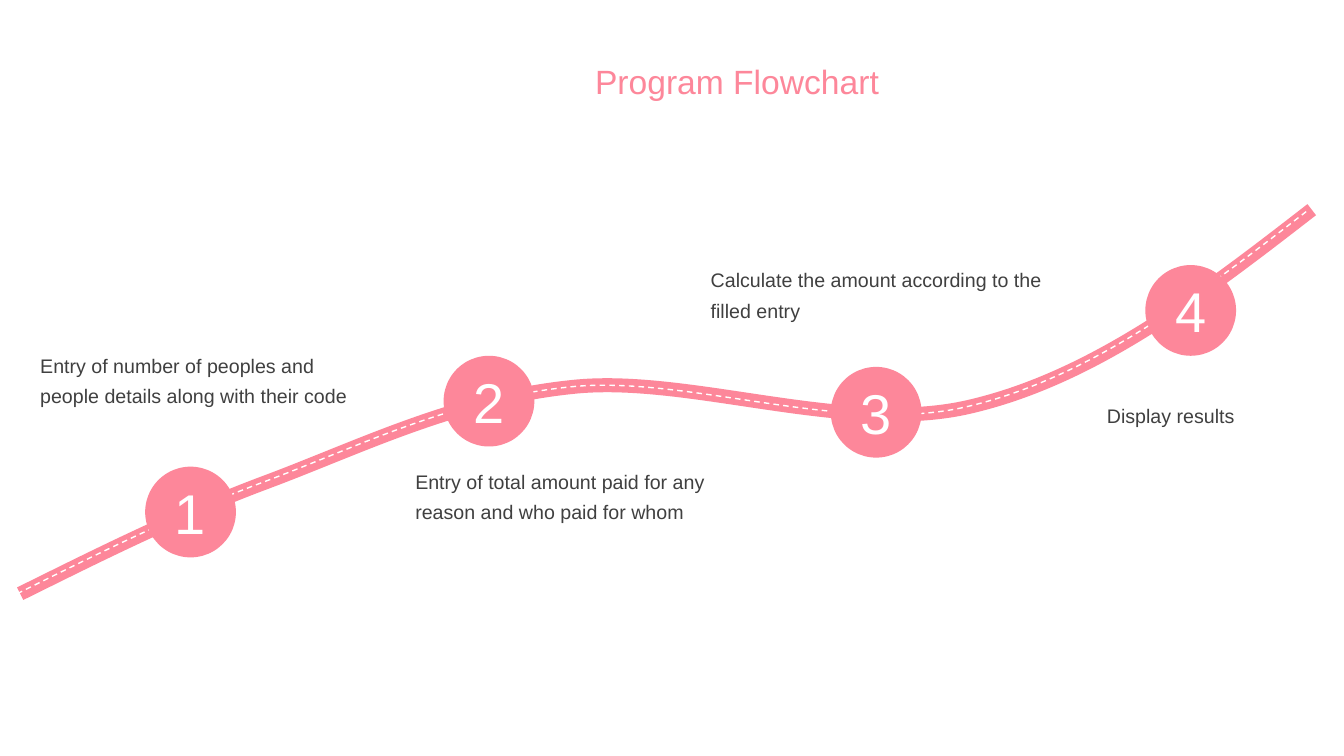
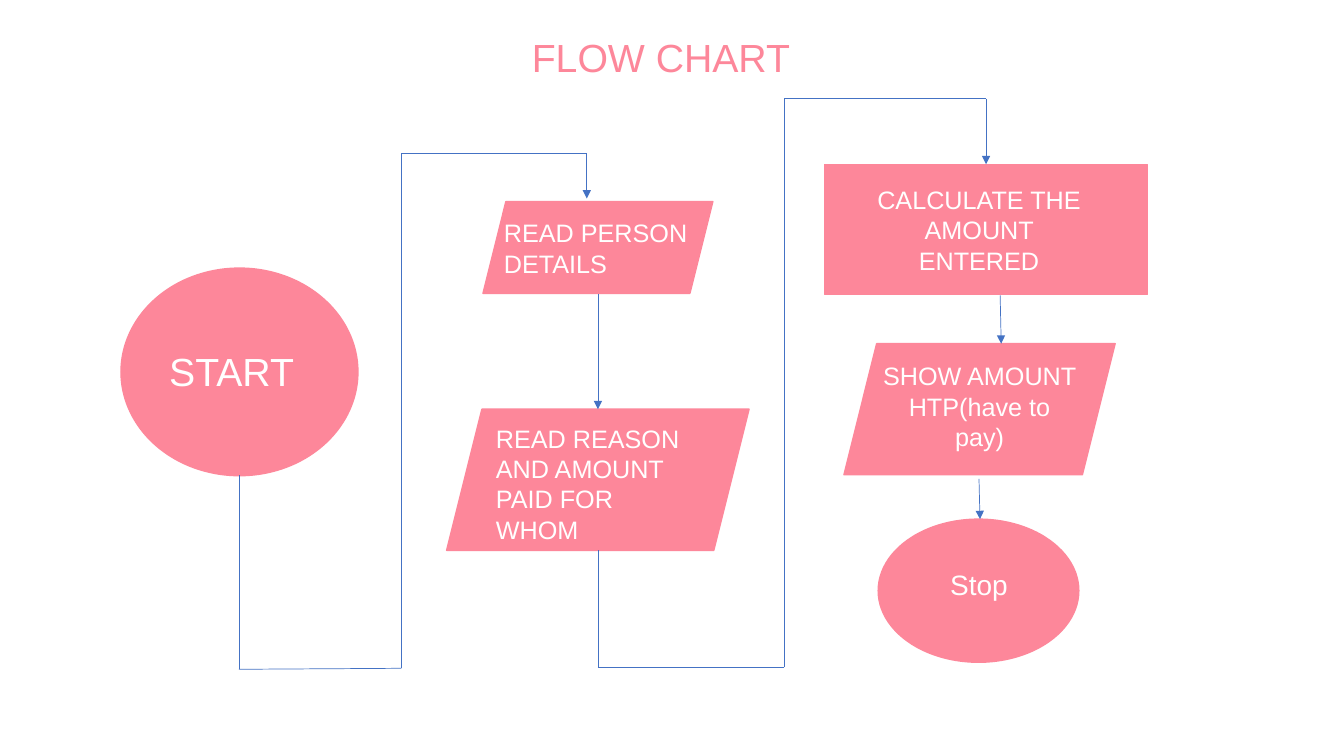
from dataclasses import dataclass
from itertools import pairwise

from pptx import Presentation
from pptx import util as u
from pptx.dml.color import RGBColor
from pptx.enum import dml, shapes, text
from pptx.oxml.ns import qn
from lxml import etree

Point = tuple[float, float]
Box = tuple[float, float, float, float]

LEFT, CENTER = text.PP_ALIGN.LEFT, text.PP_ALIGN.CENTER
OVAL = shapes.MSO_SHAPE.OVAL
PARALLELOGRAM = shapes.MSO_SHAPE.PARALLELOGRAM
RECTANGLE = shapes.MSO_SHAPE.RECTANGLE


@dataclass(frozen=True)
class Theme:
    font: str = "Arial"
    pink: RGBColor = RGBColor(0xFD, 0x87, 0x9A)
    white: RGBColor = RGBColor(0xFF, 0xFF, 0xFF)
    grey: RGBColor = RGBColor(0x40, 0x40, 0x40)
    blue: RGBColor = RGBColor(0x44, 0x72, 0xC4)
    title_size: int = 24
    large_size: int = 28
    number_size: int = 40
    caption_size: int = 14
    node_size: int = 18
    stop_size: int = 20
    road_width: float = 10
    thin_width: float = 1
    arrow_width: float = 0.5


THEME = Theme()


@dataclass(frozen=True)
class Milestone:
    circle: Point
    caption: str
    caption_box: Box


@dataclass(frozen=True)
class Node:
    kind: shapes.MSO_SHAPE
    box: Box
    label: str
    label_box: Box
    size: int = THEME.node_size
    align: text.PP_ALIGN = CENTER


# Content: the road and its four stops
CIRCLE_SIZE = 0.9
ROAD_START = (0.2, 5.89)
ROAD_CURVES = [
    ((0.97, 5.51), (1.74, 5.12), (2.65, 4.78)),
    ((3.56, 4.44), (4.51, 3.96), (5.67, 3.84)),
    ((6.83, 3.71), (8.41, 4.33), (9.64, 4.03)),
    ((10.86, 3.74), (11.94, 2.91), (13.01, 2.08)),
]
MILESTONES = [
    Milestone((1.44, 4.63), "Entry of number of peoples and people details along with their code",
              (0.3, 3.39, 3.49, 0.7)),
    Milestone((4.4, 3.53), "Entry of total amount paid for any reason and who paid for whom",
              (4.02, 4.54, 3.49, 0.7)),
    Milestone((8.24, 3.64), "Calculate the amount according to the filled entry",
              (6.95, 2.54, 3.49, 0.7)),
    Milestone((11.36, 2.63), "Display results", (10.88, 3.89, 2.4, 0.4)),
]

# Content: the flow chart
NODES = [
    Node(OVAL, (1.2, 2.66, 2.35, 2.06), "START", (1.58, 3.4, 1.59, 0.57),
         THEME.large_size, LEFT),
    Node(PARALLELOGRAM, (4.79, 2, 2.28, 0.91), "READ PERSON DETAILS",
         (4.9, 2.11, 2.14, 0.7), align=LEFT),
    Node(PARALLELOGRAM, (4.43, 4.06, 3, 1.4), "READ REASON AND AMOUNT PAID FOR WHOM",
         (4.82, 4.15, 2.21, 1.3), align=LEFT),
    Node(RECTANGLE, (8.18, 1.63, 3.2, 1.29), "CALCULATE THE AMOUNT ENTERED",
         (8.5, 1.78, 2.42, 1)),
    Node(PARALLELOGRAM, (8.37, 3.41, 2.69, 1.3), "SHOW AMOUNT HTP(have to pay)",
         (8.64, 3.53, 2.15, 1)),
    Node(OVAL, (8.71, 5.15, 1.99, 1.42), "Stop", (9.15, 5.58, 1.12, 0.43),
         THEME.stop_size),
]
ROUTES = [
    [(2.37, 4.71), (2.37, 6.64), (3.98, 6.63), (3.98, 1.52), (5.82, 1.52), (5.82, 1.97)],
    [(5.93, 2.92), (5.93, 4.06)],
    [(9.92, 2.93), (9.93, 3.41)],
    [(9.71, 4.75), (9.72, 5.15)],
]
ROUTE_TO_CALCULATE = [(5.93, 5.46), (5.93, 6.62), (7.78, 6.62), (7.78, 1.18),
                      (7.78, 0.98), (9.78, 0.98), (9.78, 1.63)]


# Shared drawing helpers
def write(frame, words: str, size: int, color: RGBColor, align=CENTER,
          spacing: float | None = None) -> None:
    frame.word_wrap = True
    frame.text = words
    paragraph = frame.paragraphs[0]
    paragraph.alignment = align
    if spacing:
        paragraph.line_spacing = spacing
    font = paragraph.runs[0].font
    font.name, font.size, font.color.rgb = THEME.font, u.Pt(size), color


def add_label(slide, box: Box, words: str, size: int, color: RGBColor, align=CENTER,
              spacing: float | None = None) -> None:
    label = slide.shapes.add_textbox(*map(u.Inches, box))
    write(label.text_frame, words, size, color, align, spacing)


def add_solid(slide, kind: shapes.MSO_SHAPE, box: Box):
    solid = slide.shapes.add_shape(kind, *map(u.Inches, box))
    solid.shadow.inherit = False
    solid.fill.solid()
    solid.fill.fore_color.rgb = THEME.pink
    solid.line.fill.background()
    return solid


def set_line(line, color: RGBColor, width: float) -> None:
    line.color.rgb = color
    line.width = u.Pt(width)


def add_segment(slide, start: Point, end: Point, arrow: bool):
    segment = slide.shapes.add_connector(
        shapes.MSO_CONNECTOR.STRAIGHT, *map(u.Inches, (*start, *end)))
    set_line(segment.line, THEME.blue, THEME.arrow_width)
    properties = segment._element.spPr
    if arrow:
        properties.find(qn("a:prstGeom")).set("prst", "straightConnector1")
        etree.SubElement(properties.find(qn("a:ln")), qn("a:tailEnd"), type="triangle")
    etree.SubElement(properties, qn("a:effectLst"))
    return segment


def add_route(slide, points: list[Point]):
    """Draw a chain of segments and return the last one, which has the arrowhead."""
    for start, end in pairwise(points):
        segment = add_segment(slide, start, end, arrow=end == points[-1])
    return segment


def add_road_line(slide, color: RGBColor, width: float, shift: float = 0):
    def place(point: Point) -> tuple[int, int]:
        return u.Inches(point[0] + shift), u.Inches(point[1])

    builder = slide.shapes.build_freeform(*place(ROAD_START))
    builder.add_line_segments([place(curve[-1]) for curve in ROAD_CURVES], close=False)
    road = builder.convert_to_shape()
    # Bend each straight segment into a cubic curve
    for straight, curve in zip(list(road._element.iter(qn("a:lnTo"))), ROAD_CURVES):
        bend = etree.Element(qn("a:cubicBezTo"))
        for x, y in map(place, curve):
            etree.SubElement(bend, qn("a:pt"), x=str(x - road.left), y=str(y - road.top))
        straight.getparent().replace(straight, bend)
    road.shadow.inherit = False
    road.fill.background()
    set_line(road.line, color, width)
    return road


# Slides
def build_program_slide(slide) -> None:
    add_road_line(slide, THEME.pink, THEME.road_width)
    lane = add_road_line(slide, THEME.white, THEME.thin_width, shift=-0.03)
    lane.line.dash_style = dml.MSO_LINE.DASH
    add_label(slide, (5.48, 0.56, 3.66, 0.5), "Program Flowchart",
              THEME.title_size, THEME.pink)
    for number, stop in enumerate(MILESTONES, start=1):
        circle = add_solid(slide, OVAL, (*stop.circle, CIRCLE_SIZE, CIRCLE_SIZE))
        circle.text_frame.vertical_anchor = text.MSO_ANCHOR.MIDDLE
        write(circle.text_frame, str(number), THEME.number_size, THEME.white)
        add_label(slide, stop.caption_box, stop.caption, THEME.caption_size,
                  THEME.grey, LEFT, spacing=1.3)


def build_flow_slide(slide) -> None:
    add_label(slide, (3.89, 0.28, 5.33, 0.57), "FLOW CHART",
              THEME.large_size, THEME.pink)
    for node in NODES:
        solid = add_solid(slide, node.kind, node.box)
        set_line(solid.line, THEME.pink, THEME.thin_width)
        if node.kind == RECTANGLE:
            calculate = solid
        add_label(slide, node.label_box, node.label, node.size, THEME.white, node.align)
    for route in ROUTES:
        add_route(slide, route)
    add_route(slide, ROUTE_TO_CALCULATE).end_connect(calculate, 0)


def main() -> None:
    deck = Presentation()
    deck.slide_width, deck.slide_height = u.Inches(13.33), u.Inches(7.5)
    blank = deck.slide_layouts[6]
    for build in (build_program_slide, build_flow_slide):
        build(deck.slides.add_slide(blank))
    deck.save("out.pptx")


if __name__ == "__main__":
    main()
